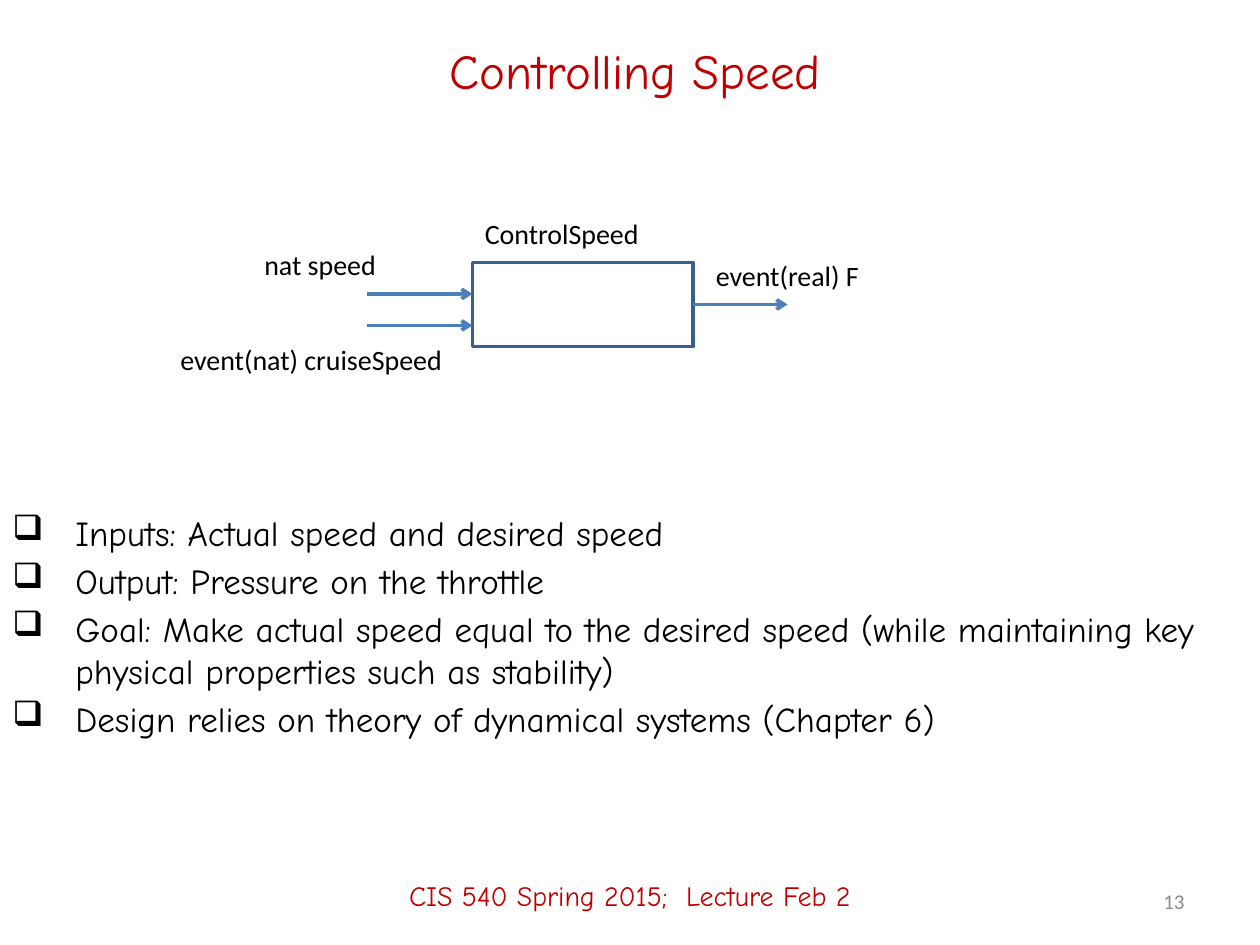
from lxml.etree import SubElement
from pptx import Presentation
from pptx.dml.color import RGBColor
from pptx.enum.shapes import MSO_CONNECTOR, MSO_SHAPE
from pptx.enum.text import MSO_ANCHOR, MSO_AUTO_SIZE, PP_ALIGN
from pptx.oxml.ns import qn
from pptx.util import Inches, Pt

RED = RGBColor(0xC0, 0x00, 0x00)
BLACK = RGBColor(0x00, 0x00, 0x00)
GREY = RGBColor(0x8C, 0x8C, 0x8C)
NAVY = RGBColor(0x3A, 0x5F, 0x8C)
BLUE = RGBColor(0x4B, 0x7E, 0xBC)
HAND = "Comic Neue"
SANS = "Calibri"
POINTS = [
    "Inputs: Actual speed and desired speed",
    "Output: Pressure on the throttle",
    "Goal: Make actual speed equal to the desired speed "
    "(while maintaining key physical properties such as stability)",
    "Design relies on theory of dynamical systems (Chapter 6)",
]
LABELS = [
    ("nat speed", 24, 23, 13.2),
    ("event(real) F", 67, 24, 16.2),
    ("ControlSpeed", 45, 20, 17.3),
    ("event(nat) cruiseSpeed", 16, 32, 27.7),
]


def grid(*cells):
    return [Inches(cell / 12) for cell in cells]


def write(para, text, size, face, color, align=PP_ALIGN.LEFT):
    para.alignment = align
    run = para.add_run()
    run.text = text
    font = run.font
    font.size = Pt(size)
    font.name = face
    font.color.rgb = color


def add_text(slide, cells, text, size, face, color, align):
    frame = slide.shapes.add_textbox(*grid(*cells)).text_frame
    frame.word_wrap = True
    frame.vertical_anchor = MSO_ANCHOR.MIDDLE
    write(frame.paragraphs[0], text, size, face, color, align)


def add_label(slide, text, col, row, width):
    frame = slide.shapes.add_textbox(*grid(col, row, width, 4.4)).text_frame
    frame.word_wrap = False
    frame.auto_size = MSO_AUTO_SIZE.SHAPE_TO_FIT_TEXT
    write(frame.paragraphs[0], text, 16, SANS, BLACK)


def add_title(slide, text):
    title = slide.shapes.title
    title.left, title.top, title.width, title.height = grid(9, 2, 103, 9.4)
    title.text_frame.vertical_anchor = MSO_ANCHOR.MIDDLE
    write(title.text_frame.paragraphs[0], text, 28, HAND, RED, PP_ALIGN.CENTER)


def add_block(slide, *cells):
    block = slide.shapes.add_shape(MSO_SHAPE.RECTANGLE, *grid(*cells))
    block.shadow.inherit = False
    block.fill.background()
    block.line.color.rgb = NAVY
    block.line.width = Pt(2)
    return block


def add_arrow(slide, start, end, row):
    arrow = slide.shapes.add_connector(
        MSO_CONNECTOR.STRAIGHT, *grid(start, row, end, row))
    arrow.line.color.rgb = BLUE
    arrow.line.width = Pt(2)
    SubElement(arrow.line._get_or_add_ln(), qn("a:tailEnd"), type="arrow")
    SubElement(arrow._element.spPr, qn("a:effectLst"))
    return arrow


def add_list(slide, cells, items):
    frame = slide.shapes.add_textbox(*grid(*cells)).text_frame
    frame.word_wrap = True
    for rank, item in enumerate(items):
        para = frame.add_paragraph() if rank else frame.paragraphs[0]
        if rank:
            para.space_before = Pt(3.5)
        props = para._p.get_or_add_pPr()
        props.set("marL", str(Inches(0.5)))
        props.set("indent", str(-Inches(0.5)))
        SubElement(props, qn("a:buChar"), char="❑")
        write(para, item, 20, HAND, BLACK)


def main():
    deck = Presentation()
    deck.slide_width, deck.slide_height = grid(120, 90)
    slide = deck.slides.add_slide(deck.slide_layouts[5])
    add_title(slide, "Controlling Speed")
    add_list(slide, (0, 48.1, 118, 25.8), POINTS)
    block = add_block(slide, 45, 25, 21, 8)
    add_arrow(slide, 66, 75, 29).begin_connect(block, 3)
    for row in (28, 31):
        add_arrow(slide, 35, 45, row)
    for label in LABELS:
        add_label(slide, *label)
    add_text(slide, (0, 80.6, 120, 9.4), "CIS 540 Spring 2015;  Lecture Feb 2",
             16, HAND, RED, PP_ALIGN.CENTER)
    add_text(slide, (86, 83.4, 28, 4.8), "13", 12, SANS, GREY, PP_ALIGN.RIGHT)
    deck.save("out.pptx")


if __name__ == "__main__":
    main()
